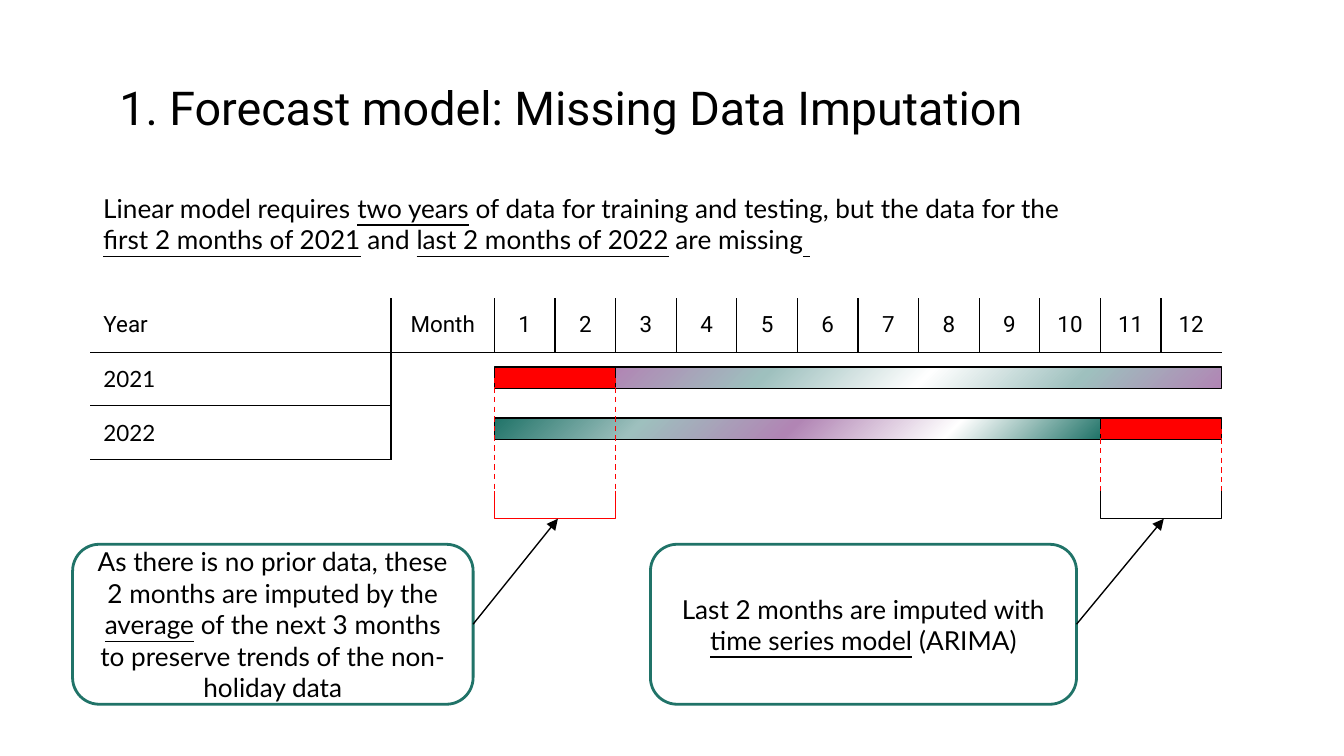
from dataclasses import dataclass
from typing import Optional

from lxml import etree
from pptx import Presentation
from pptx.dml.color import RGBColor
from pptx.enum.dml import MSO_LINE
from pptx.enum.shapes import MSO_CONNECTOR, MSO_SHAPE
from pptx.enum.text import MSO_ANCHOR, PP_ALIGN
from pptx.oxml.ns import qn
from pptx.util import Inches, Pt

RECT, ROUND_RECT = MSO_SHAPE.RECTANGLE, MSO_SHAPE.ROUNDED_RECTANGLE
BRACKET = MSO_SHAPE.RIGHT_BRACKET
STRAIGHT, DASH = MSO_CONNECTOR.STRAIGHT, MSO_LINE.DASH
CENTER, LEFT, MIDDLE = PP_ALIGN.CENTER, PP_ALIGN.LEFT, MSO_ANCHOR.MIDDLE
RIGHT_SITE = 3

BLACK = RGBColor(0x00, 0x00, 0x00)
WHITE = RGBColor(0xFF, 0xFF, 0xFF)
RED = RGBColor(0xFF, 0x00, 0x00)
GREEN = RGBColor(0x20, 0x73, 0x68)
TEAL = RGBColor(0x9E, 0xC0, 0xBE)
PURPLE = RGBColor(0xB1, 0x85, 0xB4)

NO_STYLE = "{2D5ABB26-0587-4C30-8999-92F81FD0307C}"
SLIDE_WIDTH = 10
TABLE_LEFT, TABLE_TOP, ROW = 0.67, 2.22, 0.4
LABEL_WIDTHS = [0.54, 0.54, 1.16, 0.77]
MONTHS = 12
YEAR_LEFT = TABLE_LEFT + sum(LABEL_WIDTHS)
MONTH = 5.41 / MONTHS
BAR_HEIGHT, BRACKET_TOP, BRACKET_HEIGHT = 0.16, 3.65, 0.21
STOPS = (0, 24, 49, 75, 100)

Runs = list[tuple[str, bool]]


@dataclass
class Bar:
    first: int
    months: int
    top: float
    colors: tuple[RGBColor, ...]
    angle: int = 0


@dataclass
class Gap:
    first: int
    bar_top: float
    bracket_color: RGBColor
    left: float
    width: float
    runs: Runs


BAR_2021, BAR_2022 = 2.73, 3.11
BARS = [
    Bar(0, 10, BAR_2022, (GREEN, TEAL, PURPLE, WHITE, GREEN), 45),
    Bar(2, 10, BAR_2021, (PURPLE, TEAL, WHITE, TEAL, PURPLE), 225),
    Bar(0, 2, BAR_2021, (RED,)),
    Bar(10, 2, BAR_2022, (RED,)),
]
GAPS = [
    Gap(0, BAR_2021, RED, 0.54, 2.98, [
        ("As there is no prior data, these 2 months are imputed by the ", False),
        ("average", True),
        (" of the next 3 months to preserve trends of the non-holiday data", False)]),
    Gap(10, BAR_2022, BLACK, 4.84, 3.17, [
        ("Last 2 months are imputed with ", False),
        ("time series model", True), (" (ARIMA)", False)]),
]
INTRO = [
    ("Linear model requires ", False), ("two years", True),
    (" of data for training and testing, but the data for the ", False),
    ("first 2 months of 2021", True), (" and ", False),
    ("last 2 months of 2022", True), (" are missing", False), (" ", True),
]


def month_x(month: int) -> float:
    return YEAR_LEFT + month * MONTH


def write(tf, runs: Runs, size: float, font: str, align=LEFT) -> None:
    p = tf.paragraphs[0]
    p.alignment = align
    for text, underlined in runs:
        r = p.add_run()
        r.text = text
        if underlined:
            r.font.underline = True
    p.font.size, p.font.name = Pt(size), font
    p.font.color.rgb = BLACK


def set_insets(tf) -> None:
    tf.word_wrap = True
    tf.margin_left = tf.margin_right = Inches(0.1)
    tf.margin_top = tf.margin_bottom = Inches(0.1)


def add_text(s, left: float, top: float, width: float, height: float,
             runs: Runs, size: float, font: str) -> None:
    tf = s.shapes.add_textbox(Inches(left), Inches(top), Inches(width), Inches(height)).text_frame
    set_insets(tf)
    write(tf, runs, size, font)


def add_outlined(s, kind, left: float, top: float, width: float, height: float,
                 color: RGBColor, weight: float = 0.75):
    sp = s.shapes.add_shape(kind, Inches(left), Inches(top), Inches(width), Inches(height))
    sp.shadow.inherit = False
    sp.line.color.rgb, sp.line.width = color, Pt(weight)
    return sp


def add_bar(s, bar: Bar) -> None:
    sp = add_outlined(s, RECT, month_x(bar.first), bar.top, bar.months * MONTH, BAR_HEIGHT, BLACK)
    if len(bar.colors) == 1:
        sp.fill.solid()
        sp.fill.fore_color.rgb = bar.colors[0]
        return
    sp.fill.gradient()
    gradient = sp.fill._xPr.find(qn("a:gradFill"))
    stops = gradient.find(qn("a:gsLst"))
    stops.clear()
    for position, color in zip(STOPS, bar.colors):
        stop = etree.SubElement(stops, qn("a:gs"), pos=str(position * 1000))
        etree.SubElement(stop, qn("a:srgbClr"), val=str(color))
    gradient.find(qn("a:lin")).set("ang", str(bar.angle * 60000))


def add_line(s, x1: float, y1: float, x2: float, y2: float, color: RGBColor,
             dashed: bool = False, source: Optional[object] = None) -> None:
    line = s.shapes.add_connector(STRAIGHT, Inches(x1), Inches(y1), Inches(x2), Inches(y2))
    line.line.color.rgb, line.line.width = color, Pt(0.75)
    if dashed:
        line.line.dash_style = DASH
    if source is not None:
        line.begin_connect(source, RIGHT_SITE)
        etree.SubElement(line.line._get_or_add_ln(), qn("a:tailEnd"), type="triangle")
    etree.SubElement(line._element.spPr, qn("a:effectLst"))


def add_gap(s, gap: Gap) -> None:
    left, width = month_x(gap.first), 2 * MONTH
    middle = left + width / 2
    bracket = add_outlined(s, BRACKET, middle - BRACKET_HEIGHT / 2,
                           BRACKET_TOP + BRACKET_HEIGHT / 2 - width / 2,
                           BRACKET_HEIGHT, width, gap.bracket_color)
    bracket.rotation = 90
    bracket.adjustments[0] = 0
    bracket.fill.background()

    callout = add_outlined(s, ROUND_RECT, gap.left, 4.05, gap.width, 1.19, GREEN, 1.5)
    callout.fill.solid()
    callout.fill.fore_color.rgb = WHITE
    tf = callout.text_frame
    set_insets(tf)
    tf.vertical_anchor = MIDDLE
    write(tf, gap.runs, 14, "Lato", CENTER)
    add_line(s, gap.left + gap.width, 4.64, middle + 0.02, BRACKET_TOP + BRACKET_HEIGHT,
             BLACK, source=callout)
    for x in (left, left + width):
        add_line(s, x, gap.bar_top + BAR_HEIGHT / 2, x, BRACKET_TOP, RED, dashed=True)


def set_borders(cell, sides: str) -> None:
    properties = cell._tc.get_or_add_tcPr()
    for index, side in enumerate("LRTB"):
        line = etree.Element(qn(f"a:ln{side}"), w=str(Pt(0.75)))
        if side in sides:
            fill = etree.SubElement(line, qn("a:solidFill"))
            etree.SubElement(fill, qn("a:srgbClr"), val=str(BLACK))
        else:
            etree.SubElement(line, qn("a:noFill"))
        properties.insert(index, line)


def fill_cell(cell, text: str, font: str, align, sides: str) -> None:
    cell.margin_left = cell.margin_right = Inches(0.1)
    cell.margin_top = cell.margin_bottom = 0
    cell.vertical_anchor = MIDDLE
    write(cell.text_frame, [(text, False)], 12, font, align)
    set_borders(cell, sides)


def add_calendar(s) -> None:
    widths = LABEL_WIDTHS + [MONTH] * MONTHS
    last = len(widths) - 1
    frame = s.shapes.add_table(3, len(widths), Inches(TABLE_LEFT), Inches(TABLE_TOP),
                               Inches(sum(widths)), Inches(3 * ROW))
    table = frame.table
    table.first_row = table.horz_banding = False
    table._tbl.tblPr.find(qn("a:tableStyleId")).text = NO_STYLE
    for column, width in zip(table.columns, widths):
        column.width = Inches(width)
    for row in table.rows:
        row.height = Inches(ROW)
        for cell in row.cells:
            cell.fill.background()
    labels = [("Year", "Roboto", "RB"), ("2021", "Lato", "RTB"), ("2022", "Lato", "RTB")]
    for i, (text, font, sides) in enumerate(labels):
        table.cell(i, 0).merge(table.cell(i, 2))
        fill_cell(table.cell(i, 0), text, font, LEFT, sides)
    headers = ["Month"] + [str(month + 1) for month in range(MONTHS)]
    for i, text in enumerate(headers, 3):
        sides = "LB" if i == last else "LRB"
        fill_cell(table.cell(0, i), text, "Roboto", CENTER, sides)
    table.cell(1, 3).merge(table.cell(2, last))
    set_borders(table.cell(1, 3), "LT")


def main() -> None:
    prs = Presentation()
    prs.slide_width, prs.slide_height = Inches(SLIDE_WIDTH), Inches(SLIDE_WIDTH * 9 / 16)
    s = prs.slides.add_slide(prs.slide_layouts[6])
    add_text(s, 0.79, 0.49, 8.43, 0.63,
             [("1. Forecast model: Missing Data Imputation", False)], 25, "Roboto")
    add_calendar(s)
    for bar in BARS:
        add_bar(s, bar)
    add_text(s, 0.67, 1.33, 7.36, 0.67, INTRO, 14, "Lato")
    for gap in GAPS:
        add_gap(s, gap)
    prs.save("out.pptx")


if __name__ == "__main__":
    main()
